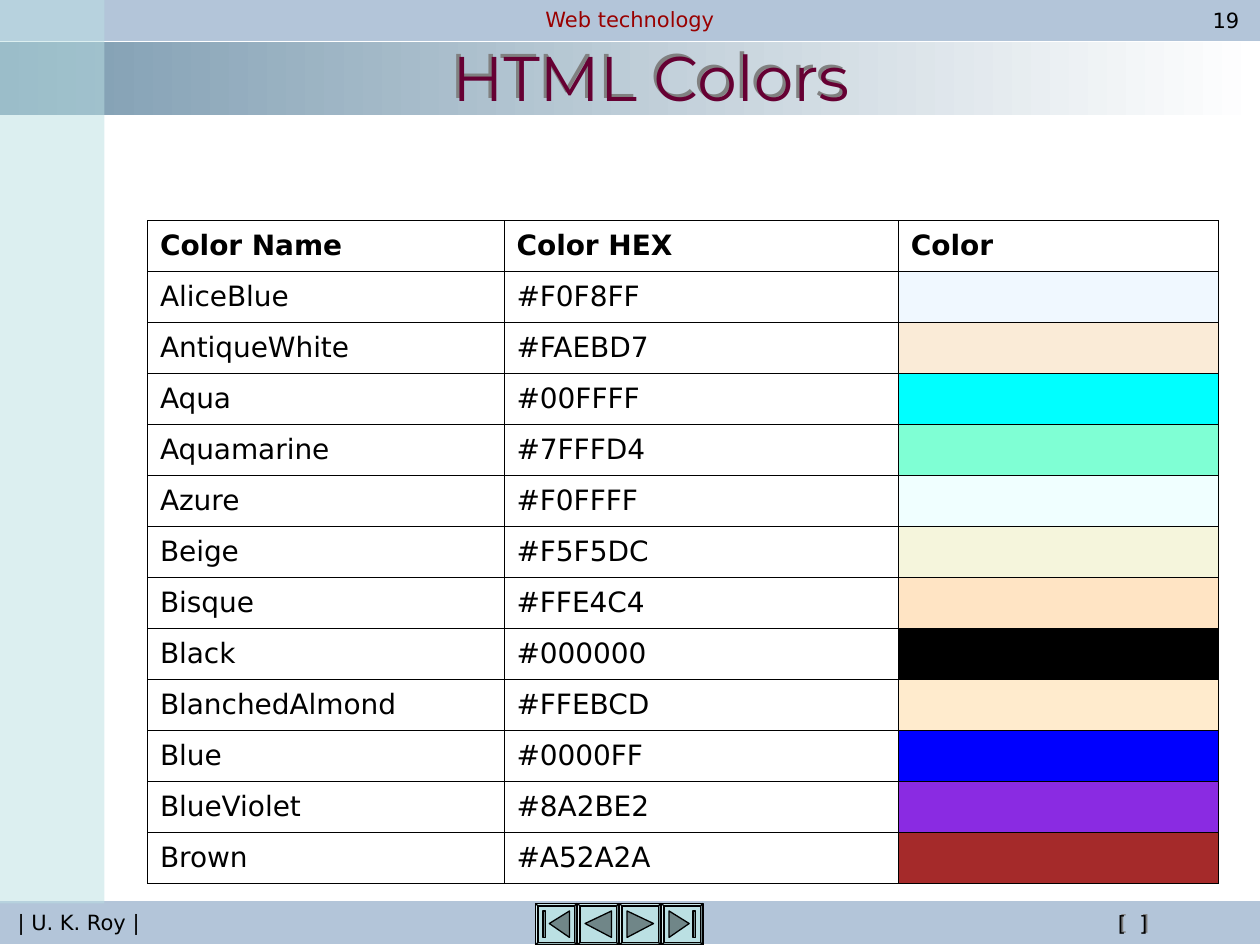
from dataclasses import dataclass
from lxml.etree import SubElement
from pptx import Presentation
from pptx.dml.color import RGBColor
from pptx.enum.shapes import MSO_SHAPE
from pptx.enum.text import MSO_ANCHOR, MSO_AUTO_SIZE, PP_ALIGN
from pptx.oxml.ns import qn
from pptx.util import Inches, Pt


@dataclass(frozen=True)
class Theme:
    black: str = "000000"
    white: str = "FFFFFF"
    bar: str = "B3C5D9"
    band: str = "7C9BB0"
    panel: str = "BBE0E3"
    icon: str = "708688"
    shade: str = "808080"
    course: str = "990000"
    title: str = "660033"
    body_font: str = "DejaVu Sans"
    title_font: str = "Montserrat"
    small: int = 12
    cell: int = 16
    large: int = 36


THEME = Theme()
COLORS = [
    ("AliceBlue", "#F0F8FF"), ("AntiqueWhite", "#FAEBD7"),
    ("Aqua", "#00FFFF"), ("Aquamarine", "#7FFFD4"),
    ("Azure", "#F0FFFF"), ("Beige", "#F5F5DC"),
    ("Bisque", "#FFE4C4"), ("Black", "#000000"),
    ("BlanchedAlmond", "#FFEBCD"), ("Blue", "#0000FF"),
    ("BlueViolet", "#8A2BE2"), ("Brown", "#A52A2A"),
]

# Button icons: outlines in inches from the button's corner
LEFT = [(0.06, 0.16), (0.27, 0.06), (0.27, 0.27)]
RIGHT = [(0.06, 0.06), (0.27, 0.16), (0.06, 0.27)]
FIRST = [[(0.11, 0.16), (0.27, 0.06), (0.27, 0.27)],
         [(0.06, 0.06), (0.08, 0.06), (0.08, 0.27), (0.06, 0.27)]]
LAST = [[(0.22, 0.16), (0.06, 0.27), (0.06, 0.06)],
        [(0.25, 0.06), (0.25, 0.27), (0.27, 0.27), (0.27, 0.06)]]


def write(frame, text, size=THEME.small, color=THEME.black,
          font=THEME.body_font, bold=False, align=PP_ALIGN.CENTER):
    para = frame.paragraphs[0]
    para.alignment = align
    run = para.add_run()
    run.text = text
    run.font.name, run.font.size, run.font.bold = font, Pt(size), bold
    run.font.color.rgb = RGBColor.from_string(color)


class Deck:
    def __init__(self, theme):
        self.theme = theme
        self.prs = Presentation()
        self.prs.slide_width, self.prs.slide_height = Inches(10), Inches(7.5)
        self.slide = self.prs.slides.add_slide(self.prs.slide_layouts[5])
        self.shapes = self.slide.shapes

    def paint(self, shape, fill=None, line=None):
        shape.shadow.inherit = False
        if fill:
            shape.fill.solid()
            shape.fill.fore_color.rgb = RGBColor.from_string(fill)
        else:
            shape.fill.background()
        if line:
            shape.line.color.rgb = RGBColor.from_string(line)
            shape.line.width = Pt(0.75)
        else:
            shape.line.fill.background()

    def shade(self, shape, angle, dist):
        shape.shadow.inherit = False
        effects = shape._element.spPr.find(qn("a:effectLst"))
        outer = SubElement(effects, qn("a:outerShdw"), dist=str(Pt(dist)),
                           dir=str(angle * 60000), algn="ctr", rotWithShape="0")
        SubElement(outer, qn("a:srgbClr"), val=self.theme.shade)

    def block(self, x, y, w, h, fill=None, line=None, alpha=None,
              kind=MSO_SHAPE.RECTANGLE):
        shape = self.shapes.add_shape(
            kind, Inches(x), Inches(y), Inches(w), Inches(h))
        self.paint(shape, fill, line)
        if alpha:
            tint = shape._element.spPr.find(qn("a:solidFill"))[0]
            SubElement(tint, qn("a:alpha"), val=str(alpha * 1000))
        return shape

    def band(self, x, y, w, h, start, end):
        fill = self.block(x, y, w, h).fill
        fill.gradient()
        fill.gradient_angle = 0
        for stop, color, place in zip(fill.gradient_stops, (start, end), (0, 1)):
            stop.color.rgb = RGBColor.from_string(color)
            stop.position = place

    def label(self, x, y, w, text, **style):
        shape = self.block(x, y, w, 0.32, kind=MSO_SHAPE.ROUNDED_RECTANGLE)
        shape.adjustments[0] = 0.47
        frame = shape.text_frame
        frame.word_wrap = False
        frame.vertical_anchor = MSO_ANCHOR.MIDDLE
        write(frame, text, **style)
        return shape

    def button(self, x, y, size, icon):
        frame = self.block(x, y, size, size, self.theme.panel,
                           self.theme.black, kind=MSO_SHAPE.BEVEL)
        frame.adjustments[0] = 0.06
        paths = [[(Inches(x + dx), Inches(y + dy)) for dx, dy in path]
                 for path in icon]
        pen = self.shapes.build_freeform(*paths[0][0])
        pen.add_line_segments(paths[0][1:])
        for path in paths[1:]:
            pen.move_to(*path[0])
            pen.add_line_segments(path[1:])
        self.paint(pen.convert_to_shape(), self.theme.icon, self.theme.black)

    def title(self, text):
        shape = self.shapes.title
        shape.left, shape.top = Inches(0.83), Inches(0.13)
        shape.width, shape.height = Inches(8.67), Inches(0.95)
        frame = shape.text_frame
        frame.auto_size = MSO_AUTO_SIZE.NONE
        frame.vertical_anchor = MSO_ANCHOR.MIDDLE
        write(frame, text, size=self.theme.large, color=self.theme.title,
              font=self.theme.title_font)
        self.shade(shape, 225, 2.5)
        self.shapes._spTree.append(shape._element)  # bring above the band

    def border(self, cell):
        props = cell._tc.get_or_add_tcPr()
        for side in ("lnL", "lnR", "lnT", "lnB"):
            line = SubElement(props, qn(f"a:{side}"), w=str(Pt(0.34)))
            fill = SubElement(line, qn("a:solidFill"))
            SubElement(fill, qn("a:srgbClr"), val=self.theme.black)

    def table(self, x, y, widths, height, rows):
        table = self.shapes.add_table(
            len(rows), len(widths), Inches(x), Inches(y),
            Inches(sum(widths)), Inches(height)).table
        table.first_row = table.horz_banding = False
        for col, width in zip(table.columns, widths):
            col.width = Inches(width)
        for r, row in enumerate(rows):
            table.rows[r].height = Inches(height / len(rows))
            for c, text in enumerate(row):
                cell = table.cell(r, c)
                cell.vertical_anchor = MSO_ANCHOR.MIDDLE
                self.border(cell)
                if text:
                    cell.fill.background()
                    write(cell.text_frame, text, size=self.theme.cell,
                          bold=r == 0, align=PP_ALIGN.LEFT)
                else:  # swatch of the hex code beside it
                    cell.text_frame.paragraphs[0].font.size = Pt(self.theme.cell)
                    cell.fill.solid()
                    cell.fill.fore_color.rgb = RGBColor.from_string(row[1][1:])


def main():
    deck = Deck(THEME)

    # Header and footer bars
    deck.band(0, 0.33, 10, 0.58, THEME.band, THEME.white)
    deck.block(0, 0, 10, 0.32, THEME.bar, THEME.bar)
    deck.label(3.5, -0.01, 3, "Web technology", color=THEME.course)
    deck.block(0, 7.16, 10, 0.33, THEME.bar, THEME.bar)
    deck.label(0, 7.16, 1.25, "| U. K. Roy |")
    deck.shade(deck.label(8, 7.17, 1.98, "[  ]"), 315, 1.5)

    # Navigation buttons
    for i, icon in enumerate((FIRST, [LEFT], [RIGHT], LAST)):
        deck.button(4.25 + i / 3, 7.17, 0.33, icon)

    # Page number and side panel
    deck.label(9.48, 0, 0.5, "19")
    deck.block(0, 0, 0.83, 7.17, THEME.panel, alpha=50)

    # Title and colour table
    deck.title("HTML Colors")
    head = ("Color Name", "Color HEX", "Color")
    rows = [head] + [(name, code, "") for name, code in COLORS]
    deck.table(1.17, 1.75, (2.83, 3.13, 2.54), 5.26, rows)

    deck.prs.save("out.pptx")


if __name__ == "__main__":
    main()
